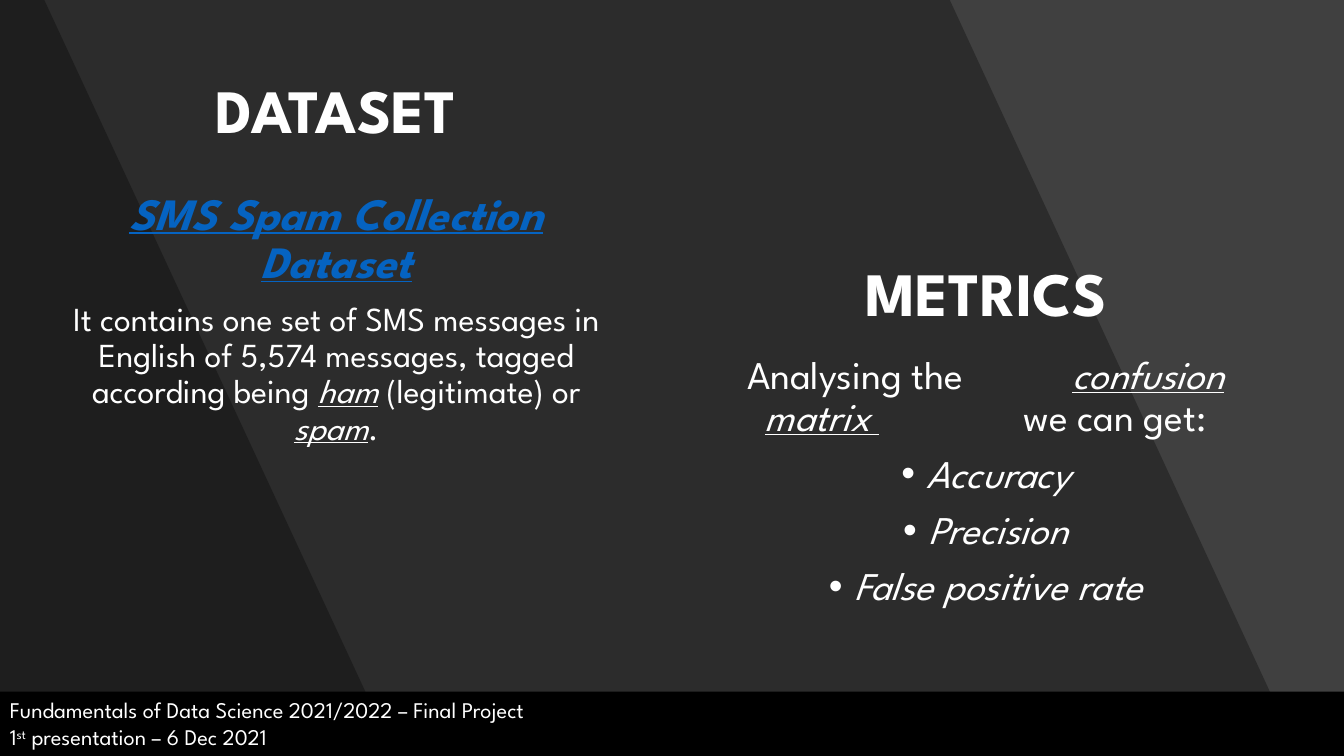
from lxml import etree
from pptx import Presentation, util as u
from pptx.dml.color import RGBColor
from pptx.enum import text as t, shapes as s
from pptx.oxml.ns import qn

GRAY = RGBColor(0x40, 0x40, 0x40)
BLACK = RGBColor(0, 0, 0)
WHITE = RGBColor(255, 255, 255)
BLUE = RGBColor(0x05, 0x63, 0xC1)
FONT = "League Spartan"
WIDE, HIGH = u.Inches(13.33), u.Inches(7.5)


def area(x, y, w, h):
    """Turn percentages of the slide into left, top, width, height."""
    return (int(WIDE * x / 100), int(HIGH * y / 100),
            int(WIDE * w / 100), int(HIGH * h / 100))


def add_run(para, words, size, color=WHITE, bold=False, slant=False,
            line=False, gap=0, base=0):
    """Add one run; gap is letter spacing in points, base a raise in percent."""
    run = para.add_run()
    run.text = words
    font = run.font
    font.name, font.size, font.color.rgb = FONT, u.Pt(size), color
    font.bold, font.italic, font.underline = bold, slant, line
    props = font._element
    if gap:
        props.set("spc", str(gap * 100))
    if base:
        props.set("baseline", str(base * 1000))


def add_para(frame, runs, size, before=0, lead=0.9,
             align=t.PP_ALIGN.CENTER, dot=False):
    """Add a paragraph made of (words, format) pairs."""
    first = frame.paragraphs[0]
    para = frame.add_paragraph() if first.runs else first
    para.alignment, para.line_spacing = align, lead
    para.space_before = u.Pt(before)
    if dot:
        props = para._p.get_or_add_pPr()
        props.set("marL", str(u.Inches(0.25)))
        props.set("indent", str(u.Inches(-0.25)))
        etree.SubElement(props, qn("a:buFont")).set("typeface", "Arial")
        etree.SubElement(props, qn("a:buChar")).set("char", "•")
    for words, look in runs:
        add_run(para, words, size, **look)


def set_frame(shape, anchor=t.MSO_ANCHOR.TOP):
    frame = shape.text_frame
    frame.word_wrap = True
    frame.auto_size = t.MSO_AUTO_SIZE.NONE
    frame.vertical_anchor = anchor
    return frame


def add_box(group, *place):
    return group.add_textbox(*area(*place))


def add_head(shape, words):
    frame = set_frame(shape, t.MSO_ANCHOR.MIDDLE)
    add_para(frame, [(words, {"bold": True})], 44)


def add_shade(slide, top, foot):
    """Darken the slide left of a slanted edge."""
    right, low = int(WIDE * foot / 100), int(HIGH)
    form = slide.shapes.build_freeform(0, 0)
    form.add_line_segments([(int(WIDE * top / 100), 0), (right, low), (0, low)])
    shade = form.convert_to_shape()
    shade.shadow.inherit = False
    shade.line.fill.background()
    shade.fill.solid()
    shade.fill.fore_color.rgb = BLACK
    color = shade._element.spPr.find(qn("a:solidFill"))[0]
    etree.SubElement(color, qn("a:alpha")).set("val", "30000")


def add_data(slide):
    title = slide.shapes.title
    title.left, title.top, title.width, title.height = area(0, 5.33, 50, 19.33)
    add_head(title, "DATASET")
    frame = set_frame(add_box(slide.shapes, 4.28, 24.67, 41.49, 60.53))
    mark = {"slant": True, "line": True}
    add_para(frame, [("SMS Spam Collection Dataset",
                      {"color": BLUE, "bold": True, **mark})], 32, before=10)
    add_para(frame, [
        ("It contains one set of SMS messages in English of 5,574 messages, "
         "tagged according being ", {}),
        ("ham", mark), (" (legitimate) or ", {}), ("spam", mark), (".", {}),
    ], 24, before=10)


def add_metrics(slide):
    group = slide.shapes.add_group_shape().shapes
    add_head(add_box(group, 48.39, 31.87, 50, 14.67), "METRICS")
    frame = set_frame(add_box(group, 52.59, 46.4, 41.49, 45.87))
    mark = {"slant": True, "line": True}
    add_para(frame, [
        ("Analysing the", {}), (" ", {"gap": 71}),
        ("confusion matrix", mark), (" ", {"gap": 103, **mark}),
        ("we can get:", {}),
    ], 28, before=10)
    for name in ("Accuracy", "Precision", "False positive rate"):
        add_para(frame, [(name, {"slant": True})], 28, before=10, dot=True)


def add_foot(slide):
    bar = slide.shapes.add_shape(s.MSO_SHAPE.RECTANGLE,
                                 *area(0, 91.47, 100, 8.53))
    bar.shadow.inherit = False
    bar.fill.solid()
    bar.fill.fore_color.rgb = BLACK
    bar.line.fill.background()
    frame = set_frame(bar)
    for runs in (
        [("Fundamentals of Data Science 2021/2022 – Final Project", {})],
        [("1", {}), ("st", {"base": 30}), (" presentation – 6 Dec 2021", {})],
    ):
        add_para(frame, runs, 16, lead=1.0, align=t.PP_ALIGN.LEFT)


def main():
    deck = Presentation()
    deck.slide_width, deck.slide_height = WIDE, HIGH
    slide = deck.slides.add_slide(deck.slide_layouts[5])
    # Background with two slanted shades
    slide.background.fill.solid()
    slide.background.fill.fore_color.rgb = GRAY
    for top, foot in ((70.67, 96.7), (3.3, 29.41)):
        add_shade(slide, top, foot)
    # Content
    add_data(slide)
    add_metrics(slide)
    add_foot(slide)
    # Bring the title in front of the shades
    tree = slide.shapes._spTree
    tree.append(slide.shapes.title._element)
    deck.save("out.pptx")


if __name__ == "__main__":
    main()
